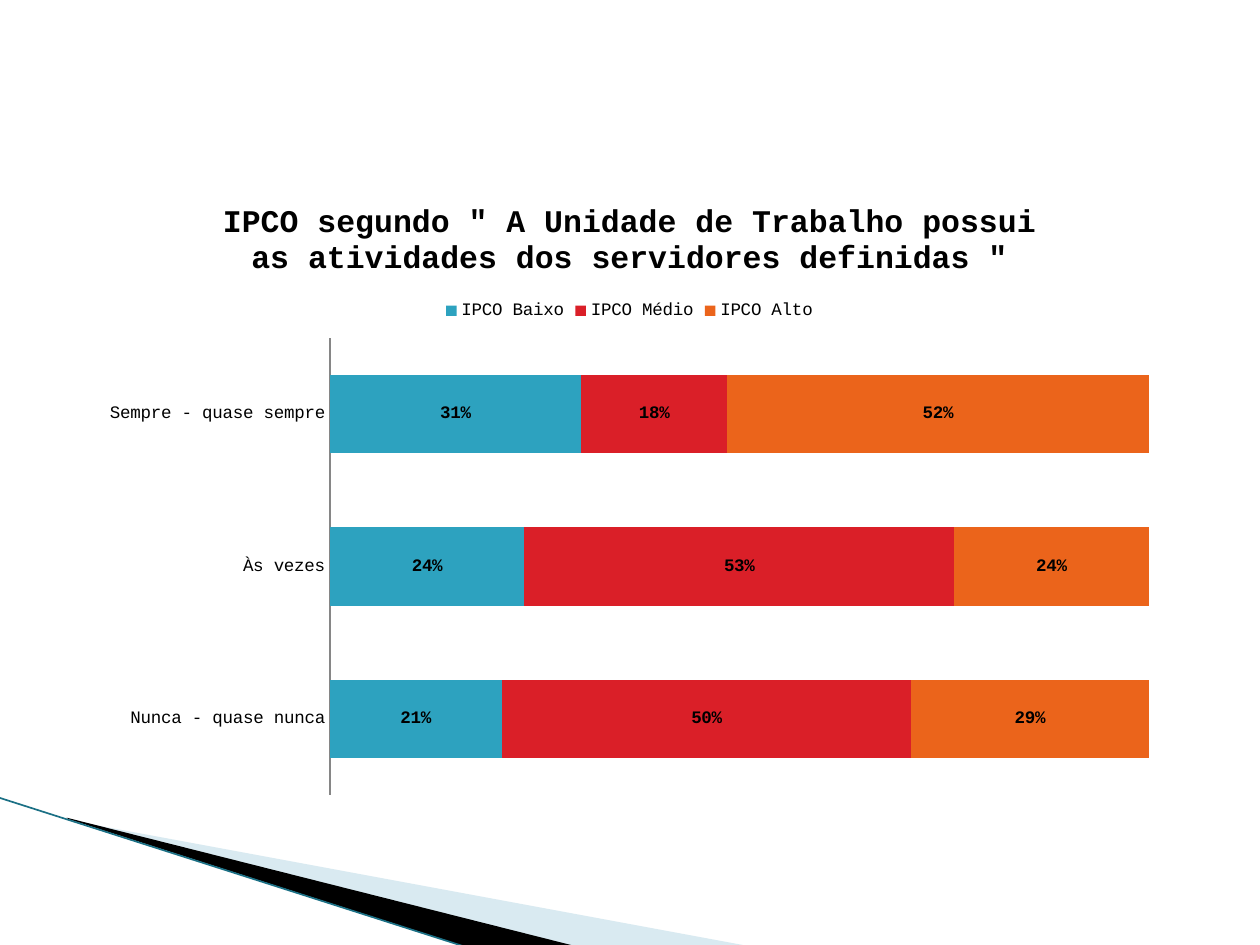
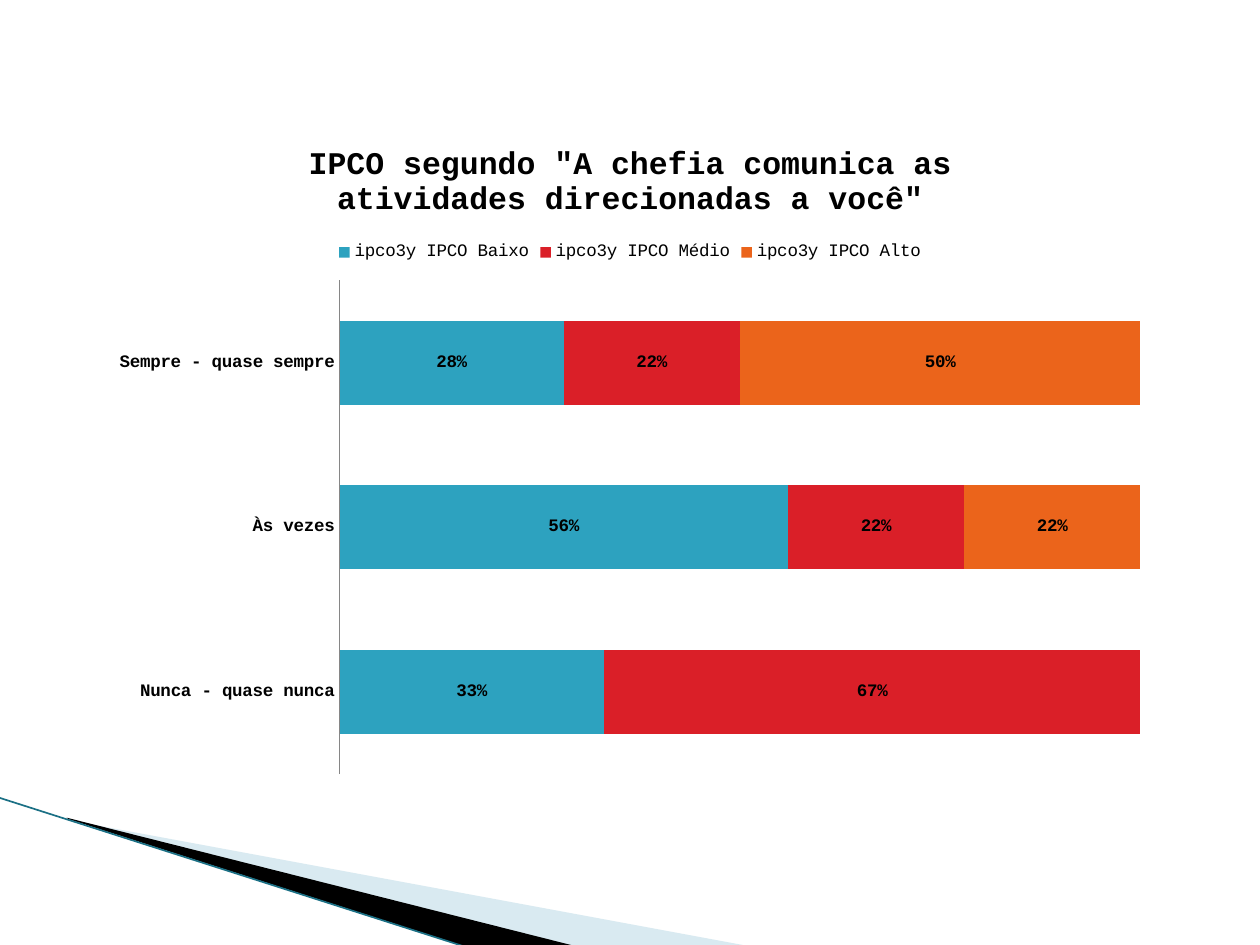
from lxml import etree
from pptx import Presentation
from pptx import util as u
from pptx.chart.data import CategoryChartData
from pptx.dml.color import RGBColor
from pptx.enum import chart as ch
from pptx.enum import shapes
from pptx.oxml import ns

WIDTH, HEIGHT = u.Inches(10), u.Inches(7.5)
FONT = "Courier New"
BLACK = "000000"
AXIS_GREY = "868686"
LEVEL_COLORS = ["2DA2BF", "DA1F28", "EB641B"]
PALE_WEDGE, WEDGE_EDGE = "A0CBDC", "1B7085"
PERCENT = "###0%"
FREQUENCIES = ["Nunca - quase nunca", "Às vezes", "Sempre - quase sempre"]
LEVELS = ["IPCO Baixo", "IPCO Médio", "IPCO Alto"]

QUESTIONS = [
    dict(
        title='IPCO segundo " A Unidade de Trabalho possui '
              'as atividades dos servidores definidas "',
        frame=(0.7, 1.41, 8.59, 5),
        levels=LEVELS,
        shares=[(0.21, 0.24, 0.31), (0.5, 0.53, 0.18), (0.29, 0.24, 0.52)],
        bold_categories=False,
    ),
    dict(
        title='IPCO segundo "A chefia comunica as '
              'atividades direcionadas a você"',
        frame=(0.78, 0.94, 8.44, 5.31),
        levels=["ipco3y " + level for level in LEVELS],
        shares=[(0.33, 0.56, 0.28), (0.67, 0.22, 0.22), (None, 0.22, 0.5)],
        bold_categories=True,
    ),
]


def rgb(color):
    return RGBColor.from_string(color)


def format_font(font, size=10, bold=False, color=BLACK):
    font.name = FONT
    font.size = u.Pt(size)
    font.bold = bold
    font.color.rgb = rgb(color)


def write_text(frame, text, **font_format):
    paragraph = frame.paragraphs[0]
    run = paragraph.add_run()
    run.text = text
    format_font(run.font, **font_format)


def add_wedge(slide, corners, color, opacity=None):
    points = [(u.Inches(x), u.Inches(y)) for x, y in corners]
    builder = slide.shapes.build_freeform(*points[0])
    builder.add_line_segments(points[1:], close=True)
    wedge = builder.convert_to_shape()
    wedge.shadow.inherit = False
    wedge.fill.solid()
    wedge.fill.fore_color.rgb = rgb(color)
    wedge.line.fill.background()
    if opacity is not None:
        fill_color = wedge.element.spPr.find(".//" + ns.qn("a:srgbClr"))
        alpha = etree.SubElement(fill_color, ns.qn("a:alpha"))
        alpha.set("val", str(opacity * 1000))
    return wedge


def add_edge(slide, start, end, color, weight):
    edge = slide.shapes.add_connector(
        shapes.MSO_CONNECTOR.STRAIGHT, *map(u.Inches, start + end))
    edge.line.color.rgb = rgb(color)
    edge.line.width = u.Pt(weight)
    etree.SubElement(edge.element.spPr, ns.qn("a:effectLst"))
    return edge


def decorate_layout(layout, slide):
    corner_art = [
        add_wedge(slide, [(0.55, 6.51), (5.95, 7.51), (4.56, 7.51), (0.55, 6.5)],
                  PALE_WEDGE, opacity=40),
        add_wedge(slide, [(0.53, 6.49), (4.57, 7.51), (3.72, 7.52), (0.54, 6.5)],
                  BLACK),
        add_edge(slide, (-0.01, 6.33), (3.71, 7.52), WEDGE_EDGE, 0.95),
    ]
    for part in corner_art:
        layout.shapes.element.append(part.element)


def format_axes(chart, bold_categories):
    categories = chart.category_axis
    categories.major_tick_mark = ch.XL_TICK_MARK.NONE
    categories.minor_tick_mark = ch.XL_TICK_MARK.NONE
    categories.has_major_gridlines = False
    categories.format.line.color.rgb = rgb(AXIS_GREY)
    categories.format.line.width = u.Pt(0.75)
    format_font(categories.tick_labels.font, bold=bold_categories)

    percentages = chart.value_axis
    percentages.has_major_gridlines = False
    percentages.tick_labels.number_format = PERCENT
    percentages.tick_labels.number_format_is_linked = False
    percentages.visible = False


def format_level(level, color):
    level.format.fill.solid()
    level.format.fill.fore_color.rgb = rgb(color)
    labels = level.data_labels
    labels.show_value = True
    labels.number_format = PERCENT
    labels.number_format_is_linked = False
    format_font(labels.font, bold=True)


def add_question_chart(slide, title, frame, levels, shares, bold_categories):
    answers = CategoryChartData(number_format=PERCENT)
    answers.categories = FREQUENCIES
    for level, values in zip(levels, shares):
        answers.add_series(level, values)
    chart = slide.shapes.add_chart(
        ch.XL_CHART_TYPE.BAR_STACKED_100, *map(u.Inches, frame), answers).chart

    format_font(chart.font)
    chart.has_title = True
    write_text(chart.chart_title.text_frame, title, size=18, bold=True)
    chart.has_legend = True
    chart.legend.position = ch.XL_LEGEND_POSITION.TOP
    chart.legend.include_in_layout = False
    format_font(chart.legend.font)
    format_axes(chart, bold_categories)

    bars = chart.plots[0]
    bars.gap_width = 95
    bars.overlap = 100
    bars.vary_by_categories = False
    for level, color in zip(bars.series, LEVEL_COLORS):
        format_level(level, color)


def main():
    deck = Presentation()
    deck.slide_width, deck.slide_height = WIDTH, HEIGHT
    layout = deck.slide_layouts[6]
    slides = [deck.slides.add_slide(layout) for _ in QUESTIONS]
    decorate_layout(layout, slides[0])
    for slide, question in zip(slides, QUESTIONS):
        add_question_chart(slide, **question)
    deck.save("out.pptx")


main()
